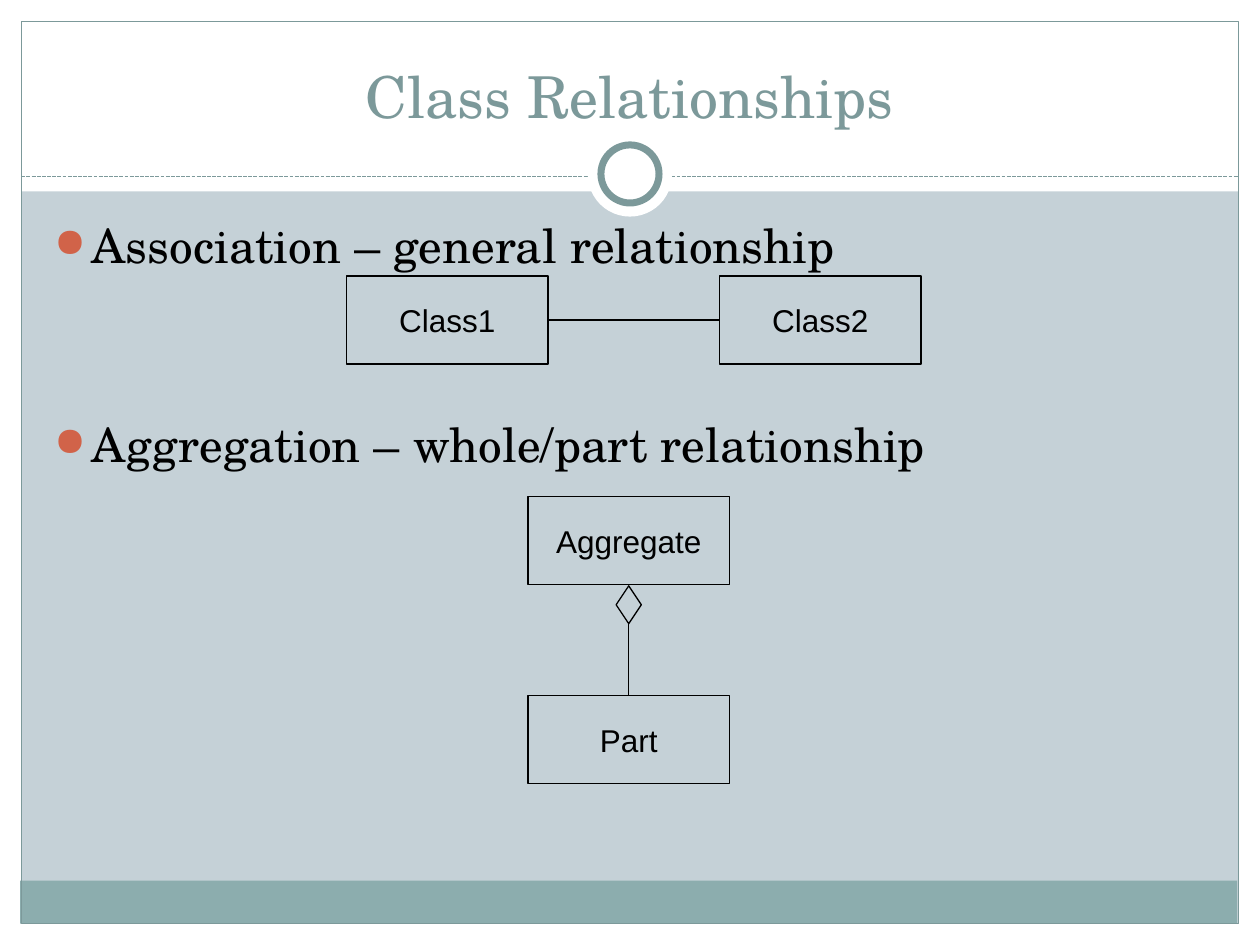
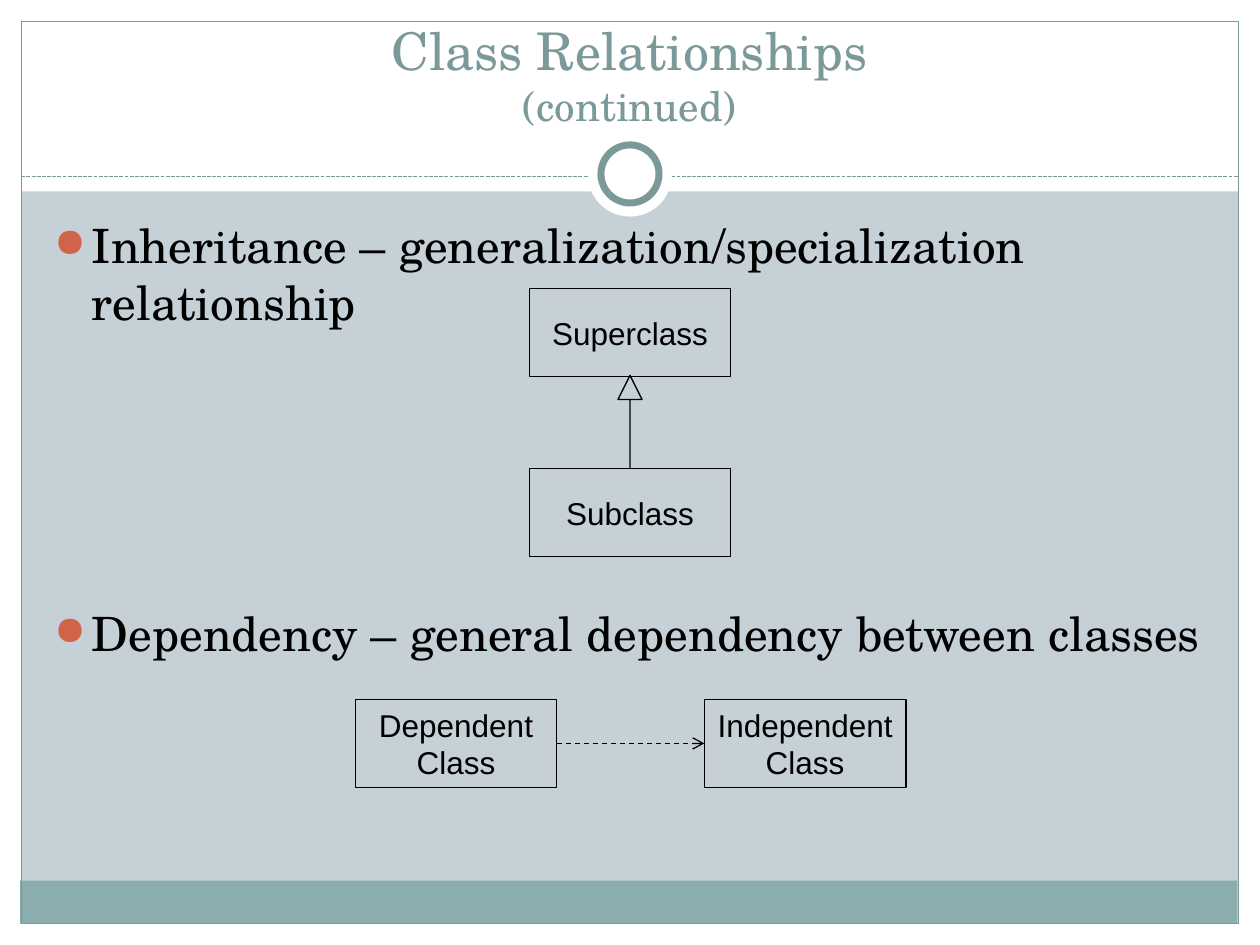
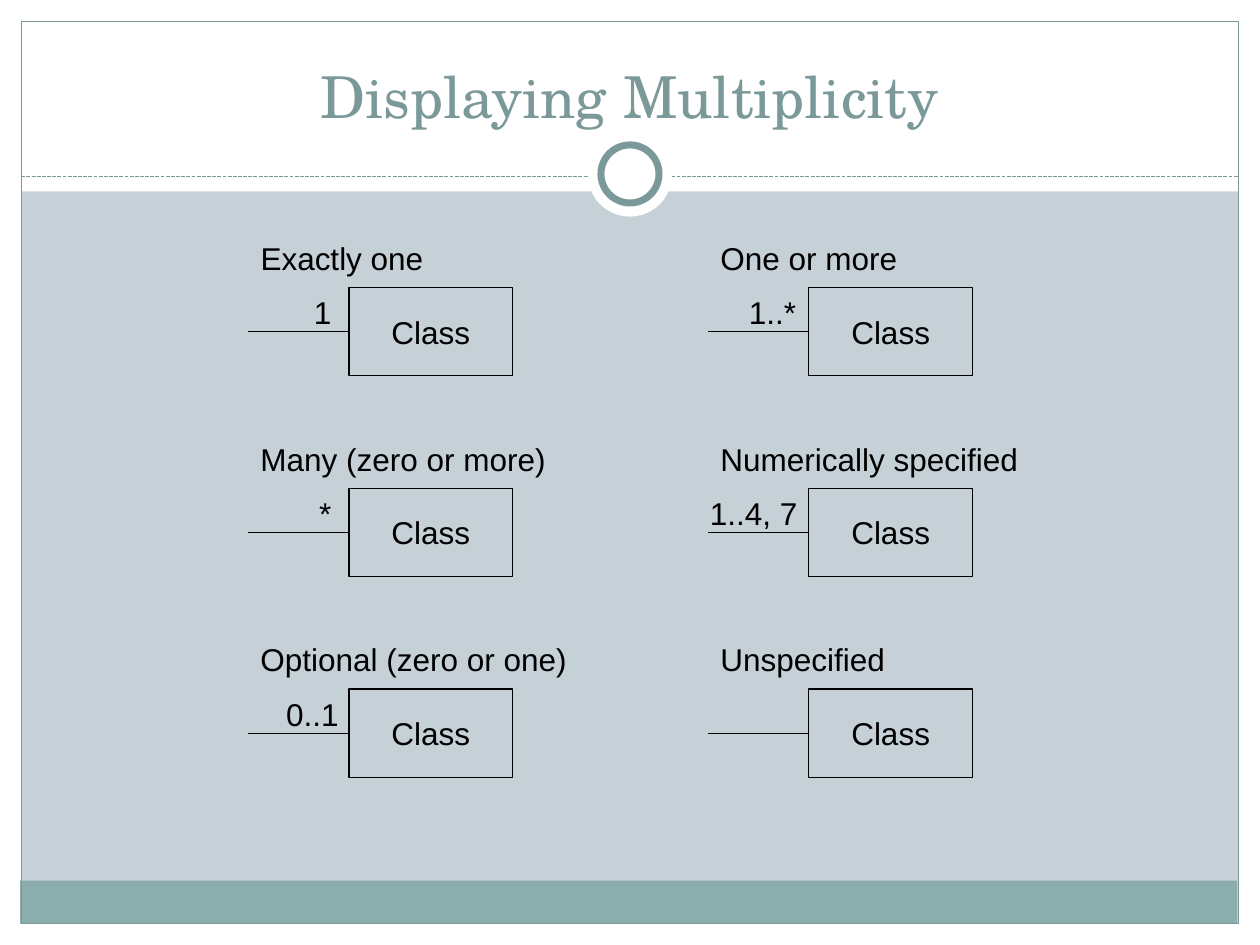
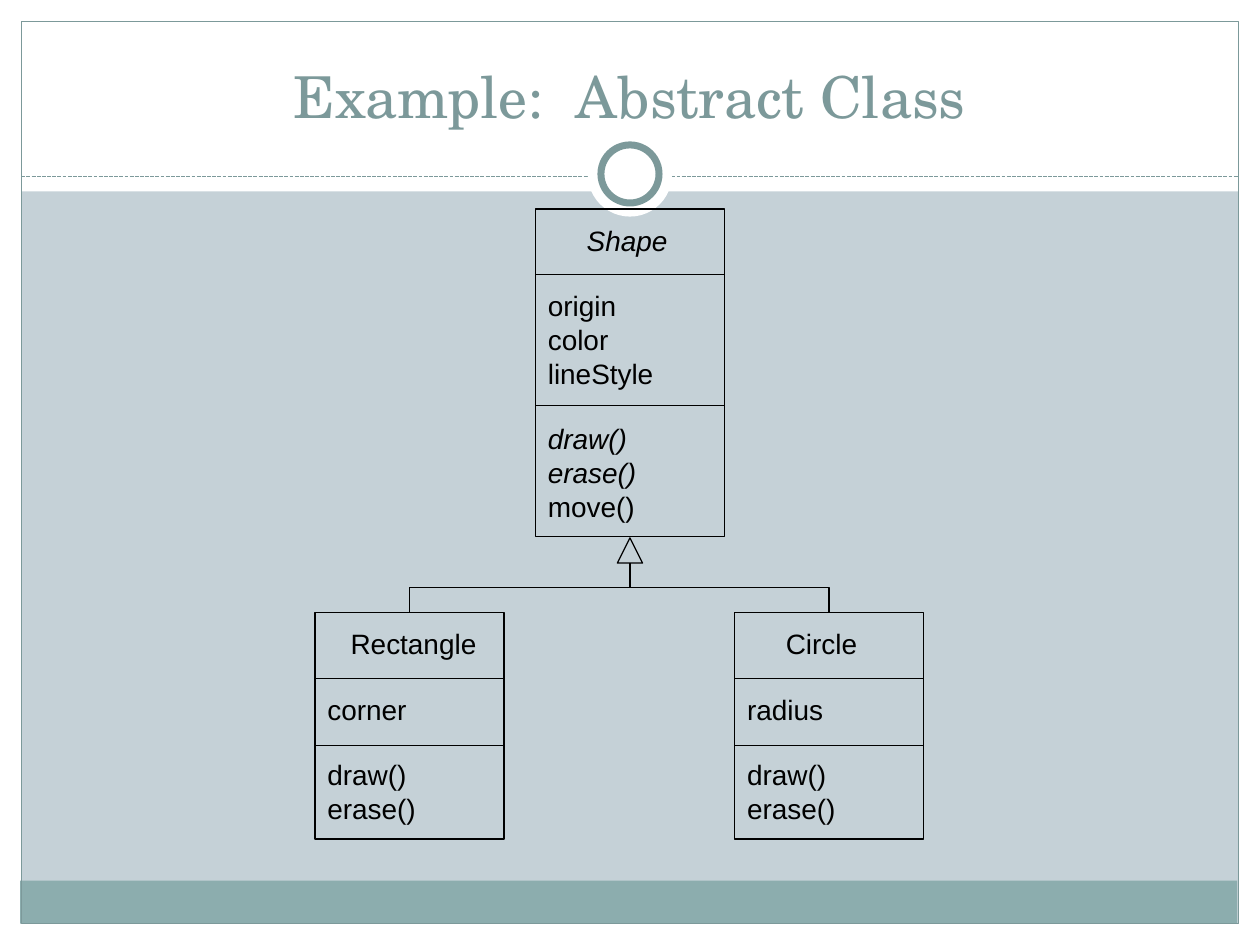
"""Build four slides on class relationships and UML notation."""
from dataclasses import dataclass
from typing import NamedTuple

import lxml.etree
import pptx
import pptx.dml.color
import pptx.enum.dml
import pptx.enum.shapes
import pptx.enum.text
import pptx.oxml.ns
import pptx.util

Pt = pptx.util.Pt
SHAPE = pptx.enum.shapes.MSO_SHAPE
CONNECTOR = pptx.enum.shapes.MSO_CONNECTOR
DASH = pptx.enum.dml.MSO_LINE
ALIGN = pptx.enum.text.PP_ALIGN
ANCHOR = pptx.enum.text.MSO_ANCHOR

BLACK, WHITE = "000000", "FFFFFF"
PALE, TEAL, BAND, ACCENT = "C5D1D7", "7C999A", "8CADAE", "D16349"
SERIF, SANS = "TeX Gyre Schola", "Arial"
TOP, LEFT, BOTTOM, RIGHT = range(4)
CLASS_HEIGHT = 50.4
CLASS_WIDTH = 115.2
LABEL_HEIGHT = 28.8
MEMBER_GAP = 18.4


@dataclass
class Panel:
    """A preset shape with its place and look."""

    kind: int
    left: float
    top: float
    width: float
    height: float
    fill: str | None = None
    line: str | None = None
    weight: float = 0.75


class Bullet(NamedTuple):
    """A bullet and the space above it."""

    text: str
    gap: float = 0


class Multiplicity(NamedTuple):
    """One multiplicity notation with its place in the grid."""

    column: int
    row: int
    label: str
    label_width: float
    symbol: str = ""
    symbol_offset: float = 0
    symbol_width: float = 0


class Member(NamedTuple):
    """One line of a class box."""

    text: str
    gap: float = 0
    italic: bool = False
    indent: float = 0


@dataclass
class ClassCard:
    """A class box with compartments."""

    left: float
    top: float
    height: float
    dividers: tuple[float, ...]
    members: list[Member]
    width: float = 108


BANDS = [
    Panel(SHAPE.RECTANGLE, 0, 527.8, 720, 12.2, WHITE),
    Panel(SHAPE.RECTANGLE, 0, 0, 720, 109.4, WHITE),
    Panel(SHAPE.RECTANGLE, 0, 0, 12.2, 540, WHITE),
    Panel(SHAPE.RECTANGLE, 707.8, 0, 12.2, 540, WHITE),
    Panel(SHAPE.RECTANGLE, 11.5, 503.3, 695.5, 24.5, BAND),
    Panel(SHAPE.RECTANGLE, 12.2, 12.2, 695.5, 515.5, None, TEAL),
]
RINGS = [
    Panel(SHAPE.OVAL, 335.9, 75.6, 48.2, 48.2, WHITE),
    Panel(SHAPE.OVAL, 343.4, 82.8, 33.2, 33.2, WHITE, TEAL, 4),
]
MULTIPLICITIES = [
    Multiplicity(0, 0, "Exactly one", 107.3, "1", 30.3, 24.5),
    Multiplicity(0, 1, "Many (zero or more)", 177.8, "*", 33.2, 21.6),
    Multiplicity(0, 2, "Optional (zero or one)", 189.4, "0..1", 14.4, 44.6),
    Multiplicity(1, 0, "One or more", 115.2, "1..*", 15.9, 41.8),
    Multiplicity(1, 1, "Numerically specified", 184.3, "1..4, 7", -6.4, 64.8),
    Multiplicity(1, 2, "Unspecified", 108.7),
]
SHAPE_CARD = ClassCard(306, 119.5, 187.2, (37.5, 112.3), [
    Member("Shape", italic=True, indent=22.2),
    Member("origin", MEMBER_GAP),
    Member("color"),
    Member("lineStyle"),
    Member("draw()", MEMBER_GAP, True),
    Member("erase()", italic=True),
    Member("move()"),
])


def subclass_card(left: float, name: str, indent: float, field: str) -> ClassCard:
    """Describe a concrete subclass of Shape."""
    return ClassCard(left, 349.9, 129.6, (37.8, 76), [
        Member(name, indent=indent),
        Member(field, MEMBER_GAP),
        Member("draw()", MEMBER_GAP),
        Member("erase()"),
    ])


def rgb(value: str):
    """Turn a hex string into a colour."""
    return pptx.dml.color.RGBColor.from_string(value)


def add_xml(parent, tag: str, **attributes: str):
    """Append a DrawingML element to a parent."""
    child = lxml.etree.SubElement(parent, pptx.oxml.ns.qn(tag))
    for name, value in attributes.items():
        child.set(name, value)
    return child


def style_paragraph(para, size: float, font: str, color: str, align=ALIGN.LEFT) -> None:
    """Format a paragraph and all its runs."""
    para.alignment = align
    for run in para.runs:
        run.font.size = Pt(size)
        run.font.name = font
        run.font.color.rgb = rgb(color)


def add_panel(slide, panel: Panel):
    """Draw a panel on a slide."""
    shape = slide.shapes.add_shape(
        panel.kind, Pt(panel.left), Pt(panel.top), Pt(panel.width), Pt(panel.height))
    shape.shadow.inherit = False
    if panel.fill:
        shape.fill.solid()
        shape.fill.fore_color.rgb = rgb(panel.fill)
    else:
        shape.fill.background()
    if panel.line:
        shape.line.color.rgb = rgb(panel.line)
        shape.line.width = Pt(panel.weight)
    else:
        shape.line.fill.background()
    return shape


def add_line(slide, start: tuple[float, float], end: tuple[float, float],
             color: str = BLACK, kind=CONNECTOR.STRAIGHT):
    """Draw a thin connector without a shadow."""
    line = slide.shapes.add_connector(
        kind, Pt(start[0]), Pt(start[1]), Pt(end[0]), Pt(end[1]))
    line.line.color.rgb = rgb(color)
    line.line.width = Pt(0.75)
    add_xml(line.element.spPr, "a:effectLst")
    return line


def join(slide, first, first_side: int, second, second_side: int):
    """Join the sides of two shapes with a straight line."""
    line = add_line(slide, (0, 0), (0, 0))
    line.begin_connect(first, first_side)
    line.end_connect(second, second_side)
    return line


def add_elbow(slide, card, arrowhead) -> None:
    """Bend a line from the top of a class box up to an arrowhead."""
    line = add_line(slide, (0, 0), (0, 0), kind=CONNECTOR.ELBOW)
    line.begin_connect(card, TOP)
    line.end_connect(arrowhead, 3)
    start_x = card.left + card.width // 2
    end_x = arrowhead.left + arrowhead.width // 2
    end_y = arrowhead.top + arrowhead.height
    rise, reach = card.top - end_y, abs(end_x - start_x)
    line.left = (start_x + end_x - rise) // 2
    line.top = (card.top + end_y - reach) // 2
    line.width, line.height = rise, reach
    transform = line.element.spPr.find(pptx.oxml.ns.qn("a:xfrm"))
    for name in ("flipH", "flipV"):
        transform.attrib.pop(name, None)
    if start_x < end_x:
        transform.set("rot", str(270 * 60000))
    else:
        transform.set("rot", str(90 * 60000))
        transform.set("flipH", "1")


def add_class(slide, left: float, top: float, name: str, width: float = CLASS_WIDTH):
    """Draw a simple class box with a centred name."""
    box = add_panel(slide, Panel(
        SHAPE.RECTANGLE, left, top, width, CLASS_HEIGHT, None, BLACK))
    fill_label(box, name, ALIGN.CENTER)
    return box


def fill_label(box, text: str, align) -> None:
    """Write an unwrapped label in the middle of a box."""
    frame = box.text_frame
    frame.text = text
    frame.word_wrap = False
    frame.vertical_anchor = ANCHOR.MIDDLE
    for para in frame.paragraphs:
        style_paragraph(para, 18, SANS, BLACK, align)


def add_label(slide, left: float, top: float, width: float, text: str, align=ALIGN.LEFT) -> None:
    """Add a free label."""
    box = slide.shapes.add_textbox(Pt(left), Pt(top), Pt(width), Pt(LABEL_HEIGHT))
    fill_label(box, text, align)


def add_bullets(slide, bullets: list[Bullet]) -> None:
    """Add the bulleted body text."""
    box = slide.shapes.add_textbox(Pt(23.8), Pt(120.2), Pt(670), Pt(360))
    frame = box.text_frame
    frame.text = "\n".join(bullet.text for bullet in bullets)
    frame.word_wrap = True
    for para, bullet in zip(frame.paragraphs, bullets):
        properties = para._p.get_or_add_pPr()
        properties.set("marL", str(Pt(21.6)))
        properties.set("indent", str(-Pt(21.6)))
        add_xml(add_xml(properties, "a:buClr"), "a:srgbClr", val=ACCENT)
        add_xml(properties, "a:buSzPct", val="85000")
        add_xml(properties, "a:buChar", char="●")
        if bullet.gap:
            para.space_before = Pt(bullet.gap)
        style_paragraph(para, 27, SERIF, BLACK)


def add_card(slide, card: ClassCard):
    """Draw a class box with its members and dividers."""
    box = add_panel(slide, Panel(
        SHAPE.RECTANGLE, card.left, card.top, card.width, card.height, None, BLACK))
    frame = box.text_frame
    frame.text = "\n".join(member.text for member in card.members)
    frame.vertical_anchor = ANCHOR.MIDDLE
    for para, member in zip(frame.paragraphs, card.members):
        style_paragraph(para, 16, SANS, BLACK)
        para.runs[0].font.italic = member.italic
        if member.gap:
            para.space_before = Pt(member.gap)
        if member.indent:
            para._p.get_or_add_pPr().set("marL", str(Pt(member.indent)))
    for offset in card.dividers:
        height = card.top + offset
        add_line(slide, (card.left, height), (card.left + card.width, height))
    return box


def add_page(deck, *title_lines: tuple[str, float]):
    """Add a slide and format its title lines."""
    slide = deck.slides.add_slide(deck.slide_layouts[5])
    title = slide.shapes.title
    title.left, title.top, title.width, title.height = Pt(23.8), Pt(18), Pt(672), Pt(59.8)
    frame = title.text_frame
    frame.text = "\n".join(text for text, size in title_lines)
    frame.word_wrap = True
    frame.auto_size = pptx.enum.text.MSO_AUTO_SIZE.NONE
    frame.vertical_anchor = ANCHOR.BOTTOM
    for para, (text, size) in zip(frame.paragraphs, title_lines):
        style_paragraph(para, size, SERIF, TEAL, ALIGN.CENTER)
    return slide


def move_frame_to_layout(slide) -> None:
    """Draw the shared frame and place it on the slide's layout."""
    layout = slide.slide_layout
    for holder in list(layout.placeholders):
        if holder.placeholder_format.type != pptx.enum.shapes.PP_PLACEHOLDER.TITLE:
            holder.element.getparent().remove(holder.element)
    parts = [add_panel(slide, panel) for panel in BANDS]
    rule = add_line(slide, (12.2, 100.8), (707.8, 100.8), TEAL)
    rule.line.dash_style = DASH.SQUARE_DOT
    parts.append(rule)
    parts.extend(add_panel(slide, panel) for panel in RINGS)
    for part in parts:
        layout.shapes.element.append(part.element)


def build_relationships(deck) -> None:
    """Build the slide on association and aggregation."""
    slide = add_page(deck, ("Class Relationships", 33))
    move_frame_to_layout(slide)
    add_bullets(slide, [
        Bullet("Association – general relationship"),
        Bullet("Aggregation – whole/part relationship", 81.2),
    ])
    first = add_class(slide, 198, 157.7, "Class1")
    second = add_class(slide, 411.1, 157.7, "Class2")
    join(slide, first, RIGHT, second, LEFT)
    add_class(slide, 301.7, 283.7, "Aggregate")
    part = add_class(slide, 301.7, 397.4, "Part")
    diamond = add_panel(slide, Panel(SHAPE.DIAMOND, 352.1, 334.8, 14.4, 21.6, None, BLACK))
    join(slide, diamond, BOTTOM, part, TOP)


def build_relationships_continued(deck) -> None:
    """Build the slide on inheritance and dependency."""
    slide = add_page(deck, ("Class Relationships", 29.7), ("(continued)", 23.4))
    add_bullets(slide, [
        Bullet("Inheritance – generalization/specialization relationship"),
        Bullet("Dependency – general dependency between classes", 156.8),
    ])
    dependent = add_class(slide, 203, 399.6, "Dependent\nClass")
    independent = add_class(slide, 402.5, 399.6, "Independent\nClass")
    arrow = join(slide, dependent, RIGHT, independent, LEFT)
    arrow.line.dash_style = DASH.DASH
    add_xml(arrow.line._get_or_add_ln(), "a:tailEnd", type="arrow")
    add_class(slide, 302.4, 164.9, "Superclass")
    subclass = add_class(slide, 302.4, 267.8, "Subclass")
    stem = add_line(slide, (360, 228.3), (360, 267.8))
    stem.end_connect(subclass, TOP)
    add_panel(slide, Panel(SHAPE.ISOSCELES_TRIANGLE, 353.1, 214.5, 13.8, 13.8, None, BLACK))


def build_multiplicity(deck) -> None:
    """Build the grid of multiplicity notations."""
    slide = add_page(deck, ("Displaying Multiplicity", 33))
    for item in MULTIPLICITIES:
        left = 141.8 + 262.8 * item.column
        top = 164.2 + 114.8 * item.row
        middle = top + CLASS_HEIGHT / 2
        box = add_class(slide, left + 57.6, top, "Class", 93.6)
        line = add_line(slide, (left, middle), (left + 57.6, middle))
        line.end_connect(box, LEFT)
        if item.symbol:
            add_label(slide, left + item.symbol_offset, top - 0.4,
                      item.symbol_width, item.symbol, ALIGN.CENTER)
        add_label(slide, left, top - 31.4, item.label_width, item.label)


def build_abstract_class(deck) -> None:
    """Build the abstract class example."""
    slide = add_page(deck, ("Example:  Abstract Class", 33))
    add_card(slide, SHAPE_CARD)
    rectangle = add_card(slide, subclass_card(180, "Rectangle", 13.3, "corner"))
    circle = add_card(slide, subclass_card(419.8, "Circle", 22.2, "radius"))
    arrowhead = add_panel(slide, Panel(
        SHAPE.ISOSCELES_TRIANGLE, 352.8, 307.4, 14.4, 14.4, None, BLACK))
    for card in (rectangle, circle):
        add_elbow(slide, card, arrowhead)


def main() -> None:
    """Build and save the deck."""
    deck = pptx.Presentation()
    deck.slide_width, deck.slide_height = Pt(720), Pt(540)
    background = deck.slide_master.background.fill
    background.solid()
    background.fore_color.rgb = rgb(PALE)
    build_relationships(deck)
    build_relationships_continued(deck)
    build_multiplicity(deck)
    build_abstract_class(deck)
    deck.save("out.pptx")


if __name__ == "__main__":
    main()
